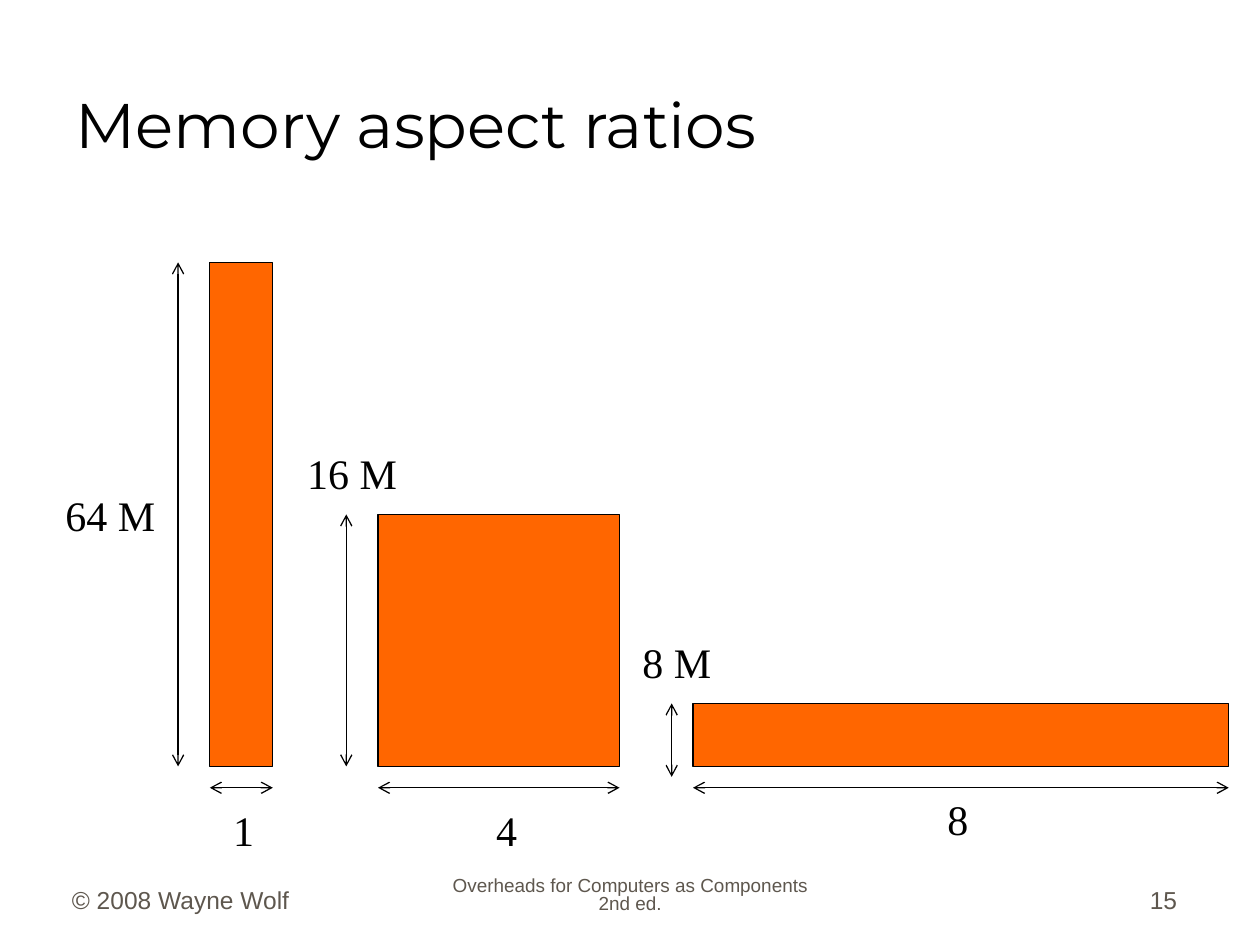
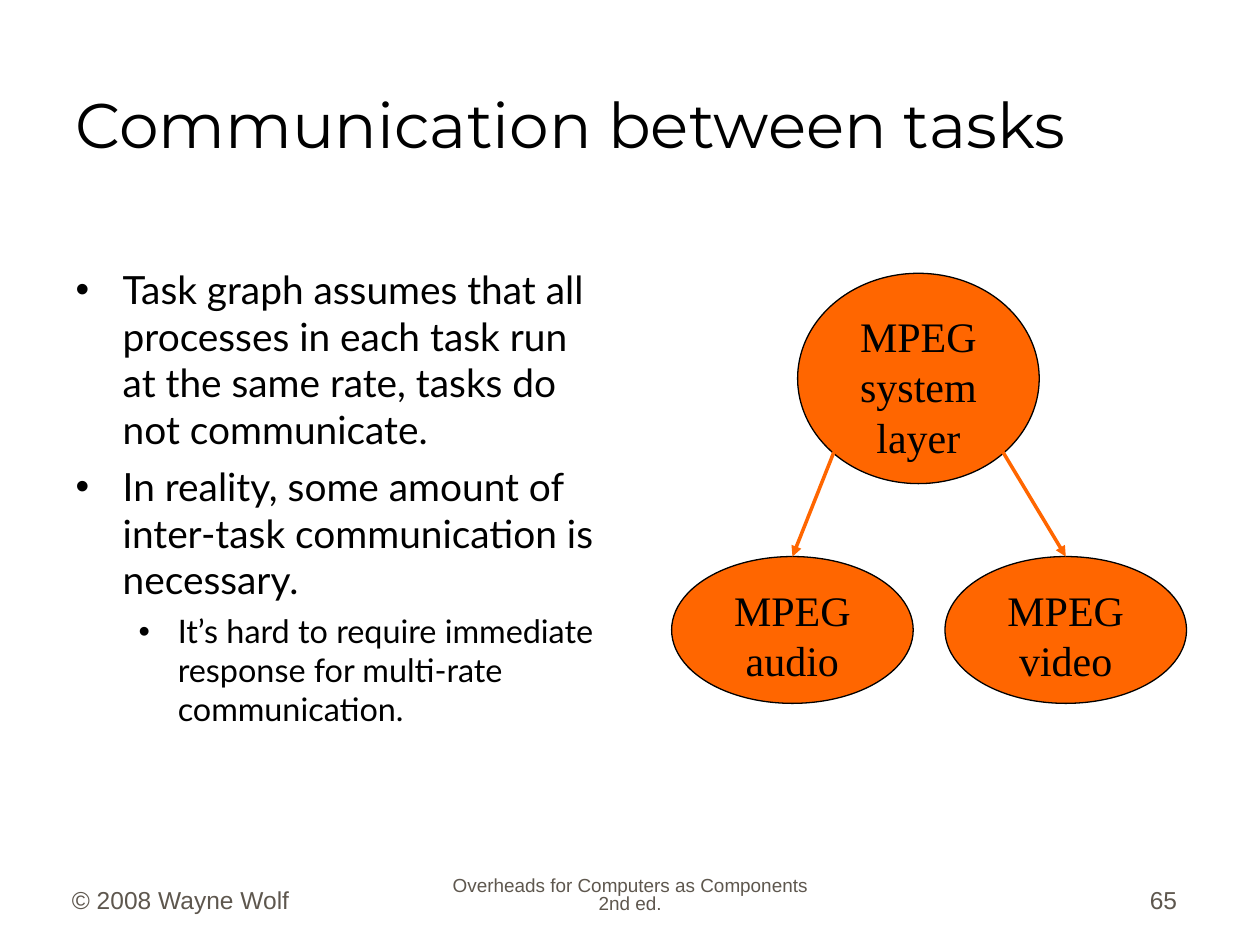
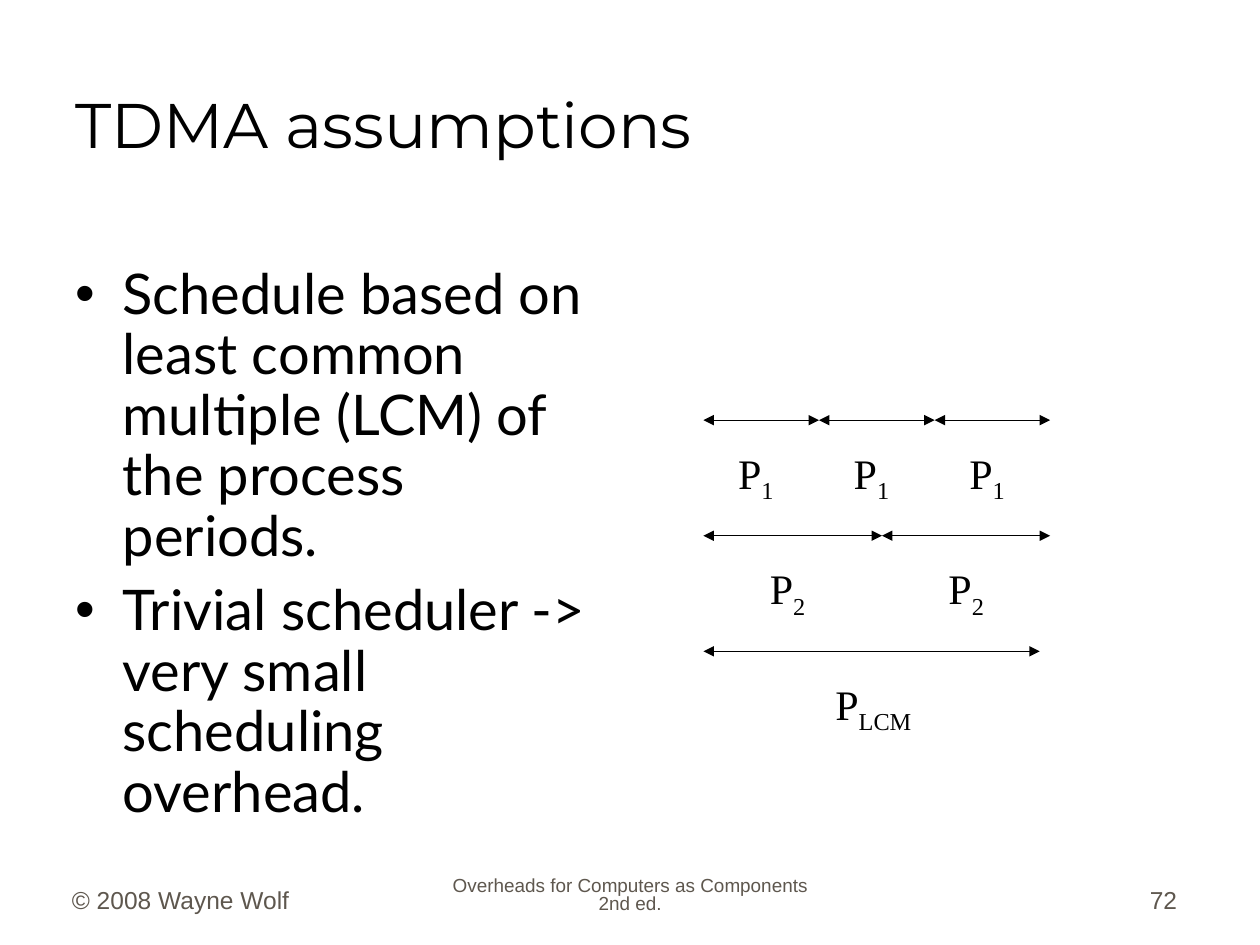
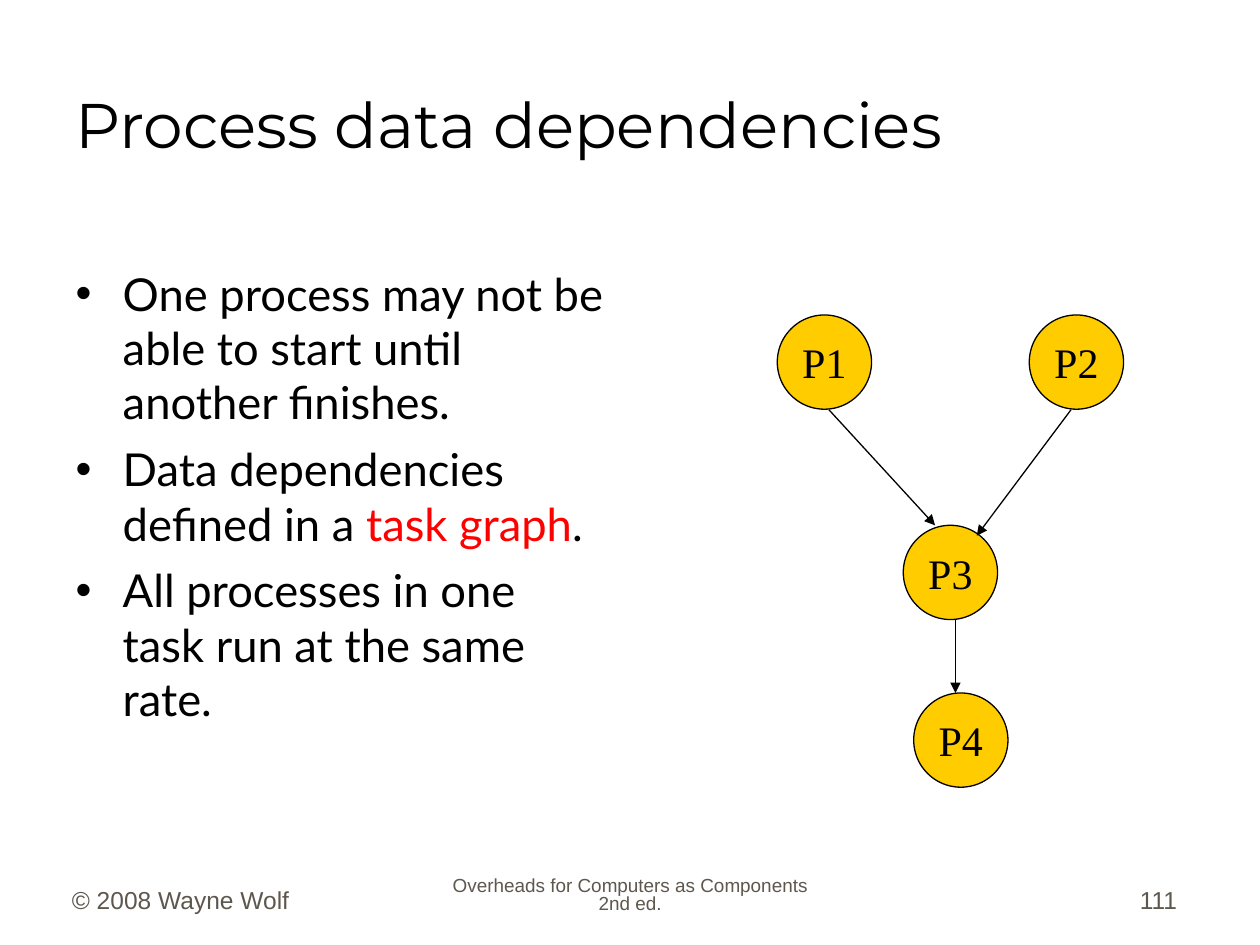
from lxml.etree import SubElement
from pptx import Presentation
from pptx.dml.color import RGBColor
from pptx.enum.shapes import MSO_CONNECTOR, MSO_SHAPE
from pptx.enum.text import MSO_ANCHOR, MSO_AUTO_SIZE, PP_ALIGN
from pptx.oxml.ns import qn
from pptx.util import Cm, Pt

COLORS = {
    "text": "000000",
    "footer": "5E574E",
    "orange": "FF6600",
    "yellow": "FFCC00",
    "accent": "FF0000",
}
TITLE_FONT, BODY_FONT = "Montserrat", "Lato"
LABEL_FONT, FOOTER_FONT = "Times New Roman", "Arial"
LABEL_SIZE = 24
INDENTS = [(0.95, 0.95), (2.06, 0.79)]
FOOTER_TOP, FOOTER_HEIGHT = 17.28, 1.27


def rgb(name):
    return RGBColor.from_string(COLORS[name])


class Deck:
    def __init__(self):
        self.prs = Presentation()
        self.prs.slide_width, self.prs.slide_height = Cm(25.4), Cm(19.05)
        self.s = None

    def slide(self, title, number, layout=1):
        self.s = self.prs.slides.add_slide(self.prs.slide_layouts[layout])
        sp = self.s.shapes.title
        self.place(sp, 1.27, 0.64, 22.66, 2.74)
        tf = sp.text_frame
        tf.auto_size = MSO_AUTO_SIZE.NONE
        tf.vertical_anchor = MSO_ANCHOR.BOTTOM
        p = tf.paragraphs[0]
        p.alignment = PP_ALIGN.LEFT
        self.run(p, title, TITLE_FONT, 36)
        self.footer(1.2, 5.28, "© 2008 Wayne Wolf", PP_ALIGN.LEFT)
        self.footer(8.68, 8.05, "Overheads for Computers as Components 2nd ed.",
                    PP_ALIGN.CENTER, 10.8, 0.8)
        self.footer(18.7, 5.28, str(number), PP_ALIGN.RIGHT)

    def place(self, sp, left, top, width, height):
        sp.left, sp.top, sp.width, sp.height = map(Cm, (left, top, width, height))

    def run(self, p, text, font, size, color="text"):
        r = p.add_run()
        r.text = text
        r.font.name, r.font.size = font, Pt(size)
        r.font.color.rgb = rgb(color)
        return r

    def footer(self, left, width, text, align, size=14, spacing=None):
        sp = self.s.shapes.add_textbox(Cm(left), Cm(FOOTER_TOP), Cm(width), Cm(FOOTER_HEIGHT))
        tf = sp.text_frame
        tf.word_wrap = True
        tf.vertical_anchor = MSO_ANCHOR.BOTTOM
        p = tf.paragraphs[0]
        p.alignment, p.line_spacing = align, spacing
        self.run(p, text, FOOTER_FONT, size, "footer")

    def bullets(self, items, sizes, gaps, width=11.15, spacing=None):
        sp = self.s.placeholders[1]
        self.place(sp, 1.27, 5.23, width, 11.58)
        tf = sp.text_frame
        tf.auto_size = MSO_AUTO_SIZE.NONE
        for i, (level, runs) in enumerate(items):
            p = tf.add_paragraph() if i else tf.paragraphs[0]
            p.level = level
            pPr = p._p.get_or_add_pPr()
            margin, hang = INDENTS[level]
            pPr.set("marL", str(Cm(margin)))
            pPr.set("indent", str(-Cm(hang)))
            SubElement(pPr, qn("a:buChar")).set("char", "•")
            p.space_before = Pt(gaps[level] if i else 0)
            p.line_spacing = spacing
            for text, color in runs:
                self.run(p, text, BODY_FONT, sizes[level], color)

    def label(self, left, top, width, text, sub=None):
        sp = self.s.shapes.add_textbox(Cm(left), Cm(top), Cm(width), Cm(1.42 if sub else 1.27))
        tf = sp.text_frame
        tf.word_wrap = False
        tf.auto_size = MSO_AUTO_SIZE.SHAPE_TO_FIT_TEXT
        p = tf.paragraphs[0]
        self.run(p, text, LABEL_FONT, LABEL_SIZE)
        if sub:
            r = self.run(p, sub, LABEL_FONT, LABEL_SIZE)
            r._r.get_or_add_rPr().set("baseline", "-25000")

    def shape(self, kind, left, top, width, height, fill, text=None,
              anchor=MSO_ANCHOR.TOP, wrap=True):
        sp = self.s.shapes.add_shape(kind, Cm(left), Cm(top), Cm(width), Cm(height))
        sp.shadow.inherit = False
        sp.fill.solid()
        sp.fill.fore_color.rgb = rgb(fill)
        sp.line.color.rgb = rgb("text")
        sp.line.width = Pt(0.75)
        if text:
            tf = sp.text_frame
            tf.word_wrap, tf.vertical_anchor = wrap, anchor
            p = tf.paragraphs[0]
            p.alignment = PP_ALIGN.CENTER
            self.run(p, text, LABEL_FONT, LABEL_SIZE)

    def arrow(self, x1, y1, x2, y2, head=None, tail="triangle", color="text", width=0.75):
        line = self.s.shapes.add_connector(
            MSO_CONNECTOR.STRAIGHT, Cm(x1), Cm(y1), Cm(x2), Cm(y2))
        line.line.color.rgb = rgb(color)
        line.line.width = Pt(width)
        ln = line.line._get_or_add_ln()
        for tag, end in (("a:headEnd", head), ("a:tailEnd", tail)):
            if end:
                SubElement(ln, qn(tag)).set("type", end)
        SubElement(line._element.spPr, qn("a:effectLst"))


def memory_ratios(deck):
    deck.slide("Memory aspect ratios", 15, layout=5)
    base, width_arrow_y = 15.45, 15.88
    memories = [
        (4.23, 1.27, 10.16, 0.64, base, ("64 M", 1.07, 9.74, 2.4), ("1", 4.45, 16.09)),
        (7.62, 4.87, 5.08, 0.64, base, ("16 M", 5.94, 8.89, 2.4), ("4", 9.75, 16.09)),
        (13.97, 10.8, 1.27, 0.43, 15.66, ("8 M", 12.7, 12.7, 2), ("8", 18.85, 15.88)),
    ]
    for left, width, height, gap, arrow_end, depth, bits in memories:
        top = base - height
        deck.shape(MSO_SHAPE.RECTANGLE, left, top, width, height, "orange")
        deck.arrow(left - gap, top, left - gap, arrow_end, "arrow", "arrow")
        deck.arrow(left, width_arrow_y, left + width, width_arrow_y, "arrow", "arrow")
        text, x, y, label_width = depth
        deck.label(x, y, label_width, text)
        text, x, y = bits
        deck.label(x, y, 0.95, text)


def task_communication(deck):
    deck.slide("Communication between tasks", 65)
    deck.bullets([
        (0, [("Task graph assumes that all processes in each task run at the same rate, "
              "tasks do not communicate.", "text")]),
        (0, [("In reality, some amount of inter-task communication is necessary.", "text")]),
        (1, [("It’s hard to require immediate response for multi-rate communication.", "text")]),
    ], sizes=(22.2, 18.5), gaps=(6, 5))
    width, child_top = 4.87, 11.22
    parent_left, parent_top, parent_height = 16.08, 5.51, 4.24
    deck.shape(MSO_SHAPE.OVAL, parent_left, parent_top, width, parent_height,
               "orange", "MPEG system layer")
    for text, left, share in (("MPEG audio", 13.54, 0.15), ("MPEG video", 19.05, 0.85)):
        deck.shape(MSO_SHAPE.OVAL, left, child_top, width, 2.96, "orange", text)
        deck.arrow(parent_left + share * width, parent_top + 0.85 * parent_height,
                   left + width / 2, child_top, color="orange", width=2)


def tdma_assumptions(deck):
    deck.slide("TDMA assumptions", 72)
    deck.bullets([
        (0, [("Schedule based on least common multiple (LCM) of the process periods.", "text")]),
        (0, [("Trivial scheduler -> very small scheduling overhead.", "text")]),
    ], sizes=(32,), gaps=(8,), width=11, spacing=0.9)
    periods = [
        ("1", 1.3, 0.45, (14.18, 16.51, 18.84, 21.17)),
        ("2", 1.3, 1.09, (14.18, 17.78, 21.17)),
        ("LCM", 2.2, 2.41, (14.18, 20.96)),
    ]
    for row, (sub, label_width, offset, bounds) in enumerate(periods):
        y = 8.47 + row * 2.33
        for start, end in zip(bounds, bounds[1:]):
            deck.arrow(start, y, end, y, head="triangle")
            deck.label(start + offset, y + 0.42, label_width, "P", sub)


def data_dependencies(deck):
    deck.slide("Process data dependencies", 111)
    deck.bullets([
        (0, [("One process may not be able to start until another finishes.", "text")]),
        (0, [("Data dependencies defined in a ", "text"), ("task graph", "accent"),
             (".", "text")]),
        (0, [("All processes in one task run at the same rate.", "text")]),
    ], sizes=(25.9,), gaps=(7,))
    processes = [("P1", 15.67, 6.35), ("P2", 20.75, 6.35),
                 ("P3", 18.21, 10.59), ("P4", 18.42, 13.97)]
    for name, left, top in processes:
        deck.shape(MSO_SHAPE.OVAL, left, top, 1.9, 1.9, "yellow", name,
                   MSO_ANCHOR.MIDDLE, wrap=False)
    dependencies = [(16.71, 8.26, 18.85, 10.59), (21.59, 8.26, 19.69, 10.8),
                    (19.26, 12.5, 19.26, 13.97)]
    for ends in dependencies:
        deck.arrow(*ends)


def main():
    deck = Deck()
    memory_ratios(deck)
    task_communication(deck)
    tdma_assumptions(deck)
    data_dependencies(deck)
    deck.prs.save("out.pptx")


if __name__ == "__main__":
    main()
